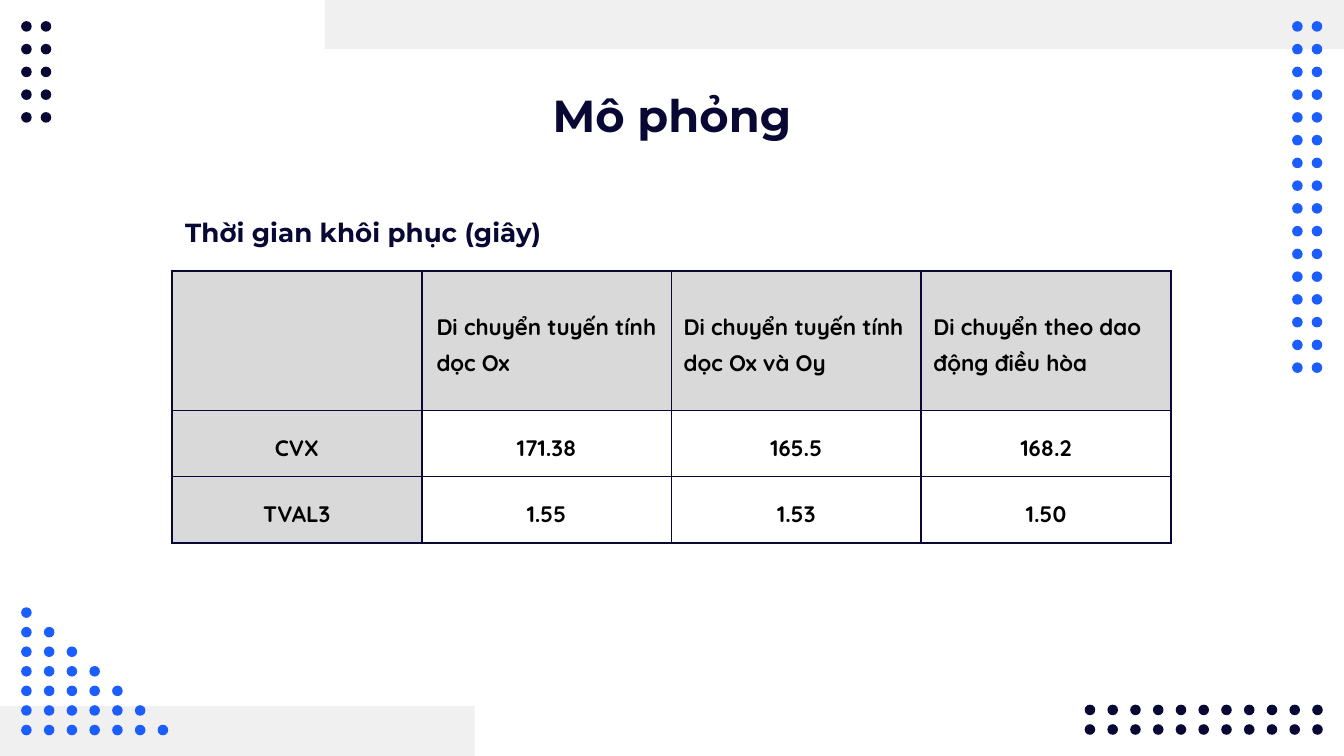
from lxml.etree import SubElement
from pptx import Presentation
from pptx.dml.color import RGBColor
from pptx.enum.shapes import MSO_SHAPE
from pptx.enum.text import MSO_ANCHOR, PP_ALIGN
from pptx.oxml.ns import qn
from pptx.util import Cm, Pt

NAVY, BLUE, PALE, GREY, BLACK = "090835", "1C5DFD", "F0F0F0", "D9D9D9", "000000"
LONG, SHORT, DOT = 0.43, 0.37, 0.2
ROWS = [
    ["", "Di chuyển tuyến tính dọc Ox", "Di chuyển tuyến tính dọc Ox và Oy",
     "Di chuyển theo dao động điều hòa"],
    ["CVX", "171.38", "165.5", "168.2"],
    ["TVAL3", "1.55", "1.53", "1.50"],
]
HEIGHTS = [2.64, 1.25, 1.25]
INSETS = [0.18, 0.28, 0.23, 0.23]


def paint(color, hue):
    """Set a color format from a hex string."""
    color.rgb = RGBColor.from_string(hue)


def style(para, face, size, hue, align):
    """Give a paragraph its bold font and alignment."""
    para.alignment = align
    font = para.font
    font.name, font.size, font.bold = face, Pt(size), True
    paint(font.color, hue)


def add_form(slide, kind, box, hue):
    """Add a plain filled shape without outline."""
    form = slide.shapes.add_shape(kind, *map(Cm, box))
    form.shadow.inherit = False
    form.fill.solid()
    paint(form.fill.fore_color, hue)
    form.line.fill.background()


def add_dots(slide, left, top, steps, counts, hue):
    """Add rows of dots, one row for each count."""
    for row, count in enumerate(counts):
        for col in range(count):
            box = left + col * steps[0], top + row * steps[1], DOT, DOT
            add_form(slide, MSO_SHAPE.OVAL, box, hue)


def add_title(slide, text):
    """Place and format the title."""
    title = slide.shapes.title
    title.left, title.top, title.width, title.height = map(Cm, (2, 1.37, 21.4, 1.6))
    frame = title.text_frame
    frame.text = text
    frame.vertical_anchor = MSO_ANCHOR.MIDDLE
    style(frame.paragraphs[0], "Montserrat", 24, NAVY, PP_ALIGN.CENTER)


def add_label(slide, text):
    """Add the heading above the table."""
    box = slide.shapes.add_textbox(*map(Cm, (3.25, 3.66, 7.65, 1.27)))
    frame = box.text_frame
    frame.word_wrap = True
    frame.vertical_anchor = MSO_ANCHOR.BOTTOM
    frame.margin_left = frame.margin_right = Cm(0.25)
    frame.margin_top = frame.margin_bottom = Cm(0.25)
    frame.text = text
    style(frame.paragraphs[0], "Montserrat", 14, NAVY, PP_ALIGN.LEFT)


def add_edges(cell, hue):
    """Draw a one point border on each side of a cell."""
    props = cell._tc.get_or_add_tcPr()
    for side in ("a:lnL", "a:lnR", "a:lnT", "a:lnB"):
        line = SubElement(props, qn(side), w=str(Pt(1)))
        fill = SubElement(line, qn("a:solidFill"))
        SubElement(fill, qn("a:srgbClr"), val=hue)


def fill_cell(cell, text, inset, head, shade):
    """Write and format one table cell."""
    add_edges(cell, NAVY)
    if shade:
        cell.fill.solid()
        paint(cell.fill.fore_color, GREY)
    else:
        cell.fill.background()
    cell.vertical_anchor = MSO_ANCHOR.MIDDLE
    cell.margin_left, cell.margin_right = Cm(inset), Cm(0.18)
    cell.margin_top = cell.margin_bottom = 0
    cell.text = text
    para = cell.text_frame.paragraphs[0]
    para.line_spacing, para.space_before = 1.3, Pt(6)
    style(para, "Quicksand", 12, BLACK, PP_ALIGN.LEFT if head else PP_ALIGN.CENTER)


def add_grid(slide):
    """Add the table of recovery times."""
    box = map(Cm, (3.25, 5.12, 18.88, sum(HEIGHTS)))
    table = slide.shapes.add_table(len(ROWS), len(ROWS[0]), *box).table
    table.first_row = table.horz_banding = False
    for col in table.columns:
        col.width = Cm(4.72)
    for row, texts in enumerate(ROWS):
        table.rows[row].height = Cm(HEIGHTS[row])
        for col, text in enumerate(texts):
            head = row == 0
            inset = INSETS[col] if head else 0.18
            fill_cell(table.cell(row, col), text, inset, head, head or col == 0)


def main():
    """Build the slide and save it."""
    deck = Presentation()
    deck.slide_width, deck.slide_height = Cm(25.4), Cm(14.29)
    slide = deck.slides.add_slide(deck.slide_layouts[5])
    add_form(slide, MSO_SHAPE.RECTANGLE, (6.14, 0, 19.26, 0.93), PALE)
    add_form(slide, MSO_SHAPE.RECTANGLE, (0, 13.35, 8.97, 0.94), PALE)
    add_dots(slide, 24.42, 0.4, (SHORT, LONG), [2] * 16, BLUE)
    add_dots(slide, 0.4, 11.48, (LONG, SHORT), range(1, 8), BLUE)
    add_dots(slide, 0.4, 0.4, (SHORT, LONG), [2] * 5, NAVY)
    add_dots(slide, 20.5, 13.32, (LONG, SHORT), [11] * 2, NAVY)
    add_title(slide, "Mô phỏng")
    add_grid(slide)
    add_label(slide, "Thời gian khôi phục (giây)")
    deck.save("out.pptx")


if __name__ == "__main__":
    main()
